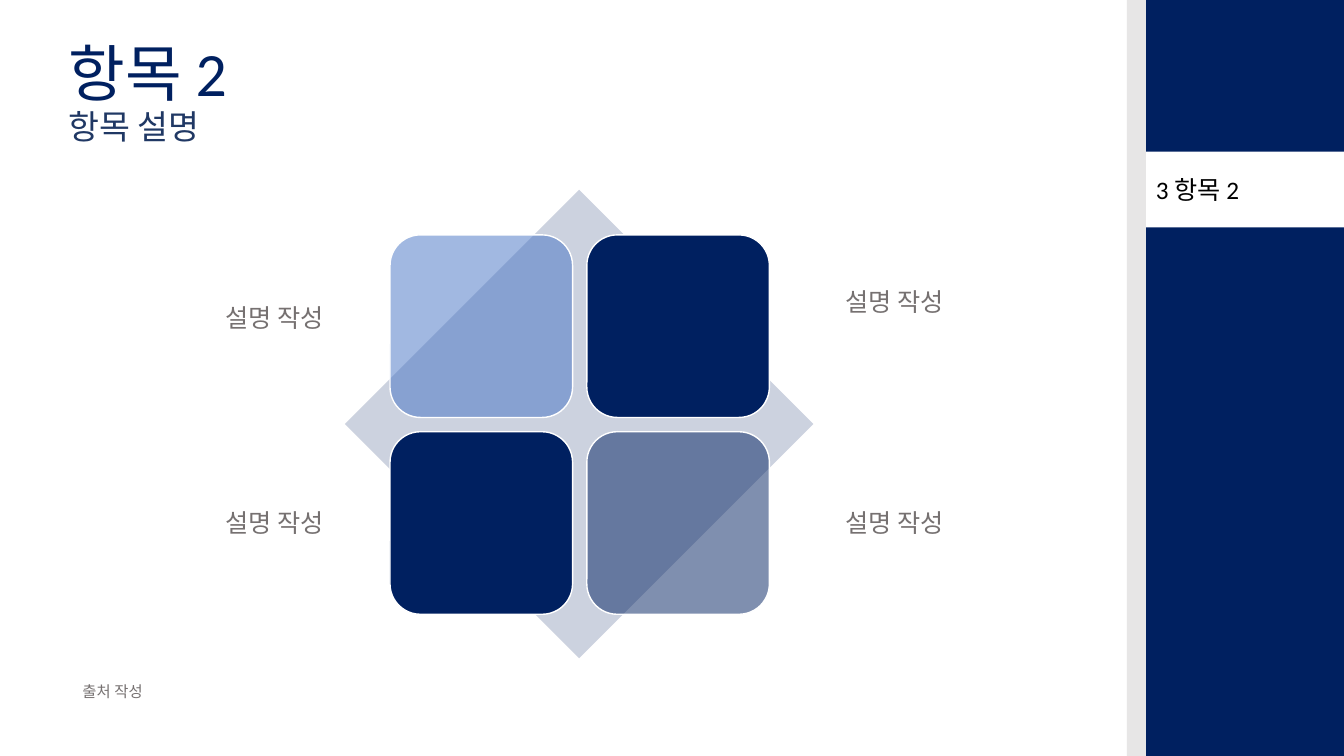
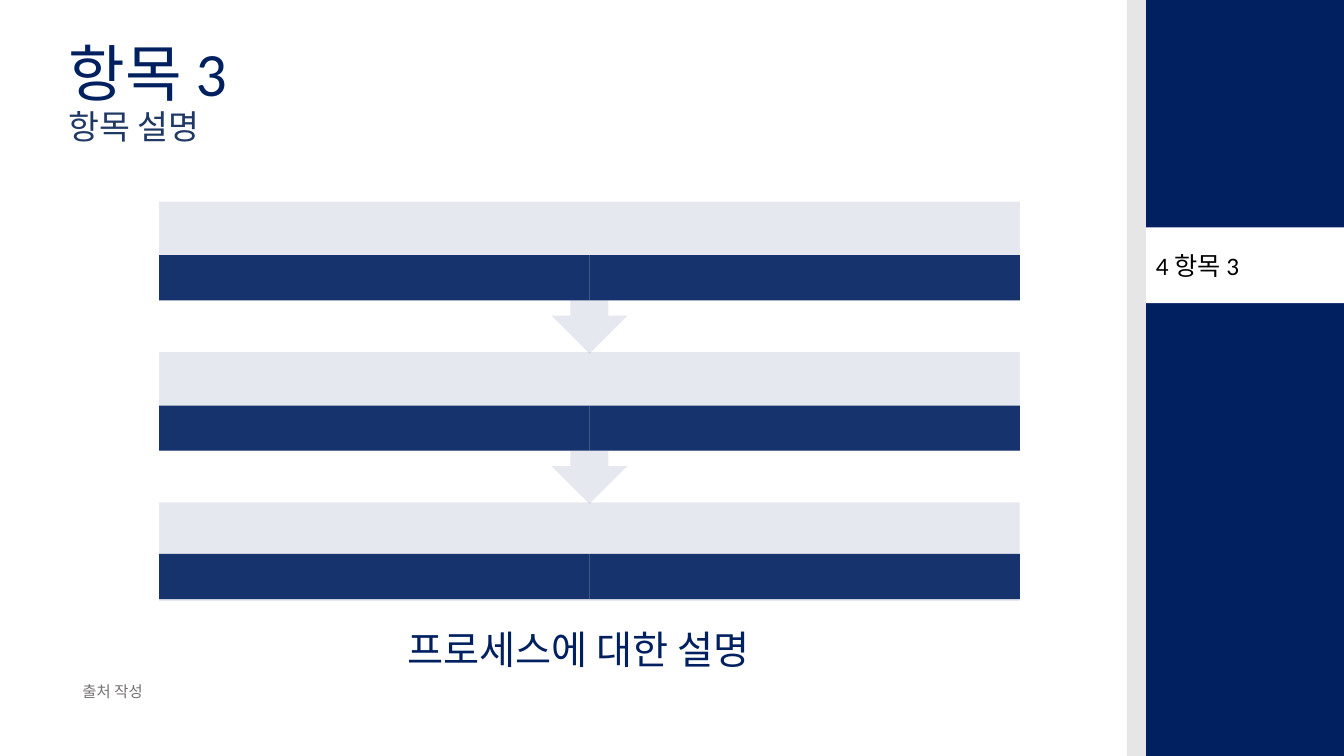
"""Builds two section slides: a four-part matrix and a three-step process."""
import dataclasses
import itertools

import lxml.etree
import pptx
import pptx.dml.color
import pptx.enum.shapes
import pptx.enum.text
import pptx.oxml.ns
import pptx.util

Cm = pptx.util.Cm
KIND = pptx.enum.shapes.MSO_SHAPE
FIT = pptx.enum.text.MSO_AUTO_SIZE


@dataclasses.dataclass(frozen=True)
class Theme:
    font: str = "Calibri"
    navy: str = "002060"
    slate: str = "203864"
    blue: str = "4472C4"
    gray: str = "767171"
    edge: str = "E7E6E6"
    white: str = "FFFFFF"
    black: str = "000000"
    title_size: int = 44
    closing_size: int = 28
    subtitle_size: int = 24
    label_size: int = 18
    source_size: int = 11


class Deck:
    TITLE_ONLY = 5
    WIDTH, HEIGHT = 33.87, 19.05
    SIDEBAR_LEFT, EDGE_WIDTH, TAB_HEIGHT = 28.88, 0.48, 1.91

    def __init__(self, theme):
        self.theme = theme
        self.show = pptx.Presentation()
        self.show.slide_width = Cm(self.WIDTH)
        self.show.slide_height = Cm(self.HEIGHT)
        self.slide = None

    def apply(self, target, values):
        for name, value in values.items():
            setattr(target, name, value)

    def rgb(self, color):
        return pptx.dml.color.RGBColor.from_string(color)

    def style(self, run, size, color):
        self.apply(run.font, {"name": self.theme.font, "size": pptx.util.Pt(size)})
        run.font.color.rgb = self.rgb(color)

    def shape(self, kind, left, top, width, height, color, opacity=100, outline=None):
        shape = self.slide.shapes.add_shape(kind, Cm(left), Cm(top), Cm(width), Cm(height))
        shape.shadow.inherit = False
        shape.fill.solid()
        shape.fill.fore_color.rgb = self.rgb(color)
        if opacity < 100:
            qn = pptx.oxml.ns.qn
            tint = shape.element.spPr.find(qn("a:solidFill")).find(qn("a:srgbClr"))
            lxml.etree.SubElement(tint, qn("a:alpha")).set("val", str(opacity * 1000))
        if outline:
            shape.line.color.rgb = self.rgb(outline)
            shape.line.width = pptx.util.Pt(1)
        else:
            shape.line.fill.background()
        return shape

    def label(self, text, left, top, width, height, size, color):
        box = self.slide.shapes.add_textbox(Cm(left), Cm(top), Cm(width), Cm(height))
        self.apply(box.text_frame, {"word_wrap": False, "auto_size": FIT.SHAPE_TO_FIT_TEXT})
        run = box.text_frame.paragraphs[0].add_run()
        run.text = text
        self.style(run, size, color)

    def title(self, heading, subtitle):
        title = self.slide.shapes.title
        self.apply(title, {"left": Cm(1.47), "top": Cm(0.97),
                           "width": Cm(14.25), "height": Cm(6.63)})
        self.apply(title.text_frame, {
            "word_wrap": True, "auto_size": FIT.NONE,
            "vertical_anchor": pptx.enum.text.MSO_ANCHOR.TOP})
        paragraph = title.text_frame.paragraphs[0]
        self.apply(paragraph, {"line_spacing": 0.9, "alignment": pptx.enum.text.PP_ALIGN.LEFT})
        heading_run = paragraph.add_run()
        heading_run.text = heading
        self.style(heading_run, self.theme.title_size, self.theme.navy)
        paragraph.add_line_break()
        subtitle_run = paragraph.add_run()
        subtitle_run.text = subtitle
        self.style(subtitle_run, self.theme.subtitle_size, self.theme.slate)

    def section(self, page, heading):
        theme = self.theme
        self.slide = self.show.slides.add_slide(self.show.slide_layouts[self.TITLE_ONLY])
        left, tab_top = self.SIDEBAR_LEFT, self.TAB_HEIGHT * (page - 1)
        width = self.WIDTH - left
        self.shape(KIND.RECTANGLE, left, 0, width, self.HEIGHT, theme.navy)
        self.shape(KIND.RECTANGLE, left, tab_top, width, self.TAB_HEIGHT, theme.white)
        self.label(f"{page} {heading}", left, tab_top + 0.45, 2.95, 1.02,
                   theme.label_size, theme.black)
        self.shape(KIND.RECTANGLE, left - self.EDGE_WIDTH, 0, self.EDGE_WIDTH,
                   self.HEIGHT, theme.edge)
        self.title(heading, "항목 설명")
        self.label("출처 작성", 1.83, 17.07, 2.11, 0.74, theme.source_size, theme.gray)

    def matrix(self):
        theme = self.theme
        left, top, size, pitch = 9.83, 5.92, 4.6, 4.96
        self.shape(KIND.DIAMOND, 8.69, 4.78, 11.81, 11.81, theme.navy, 20)
        cards = [(theme.blue, 50), (theme.navy, 100), (theme.navy, 100), (theme.navy, 50)]
        cells = itertools.product(range(2), repeat=2)
        for (row, column), (color, opacity) in zip(cells, cards):
            self.shape(KIND.ROUNDED_RECTANGLE, left + column * pitch, top + row * pitch,
                       size, size, color, opacity, theme.white)
        for label_left, upper_top in ((5.44, 7.49), (21.06, 7.09)):
            for label_top in (upper_top, 12.67):
                self.label("설명 작성", label_left, label_top, 3.15, 1.02,
                           theme.label_size, theme.gray)

    def process(self):
        theme = self.theme
        left, top, width, pitch = 4.01, 5.08, 21.69, 3.79
        callout = (KIND.UP_ARROW_CALLOUT, 3.83, 180, 1.35)
        final = (KIND.RECTANGLE, 2.49, 0, 1.3)
        steps = [callout, callout, final]
        for index, (kind, height, turn, band_offset) in reversed(list(enumerate(steps))):
            step_top = top + index * pitch
            self.shape(kind, left, step_top, width, height, theme.navy, 10).rotation = turn
            for half in range(2):
                self.shape(KIND.RECTANGLE, left + half * width / 2, step_top + band_offset,
                           width / 2, 1.14, theme.navy, 90)
        self.label("프로세스에 대한 설명", 10.03, 15.62, 9.65, 1.45,
                   theme.closing_size, theme.navy)


deck = Deck(Theme())
deck.section(3, "항목 2")
deck.matrix()
deck.section(4, "항목 3")
deck.process()
deck.show.save("out.pptx")
